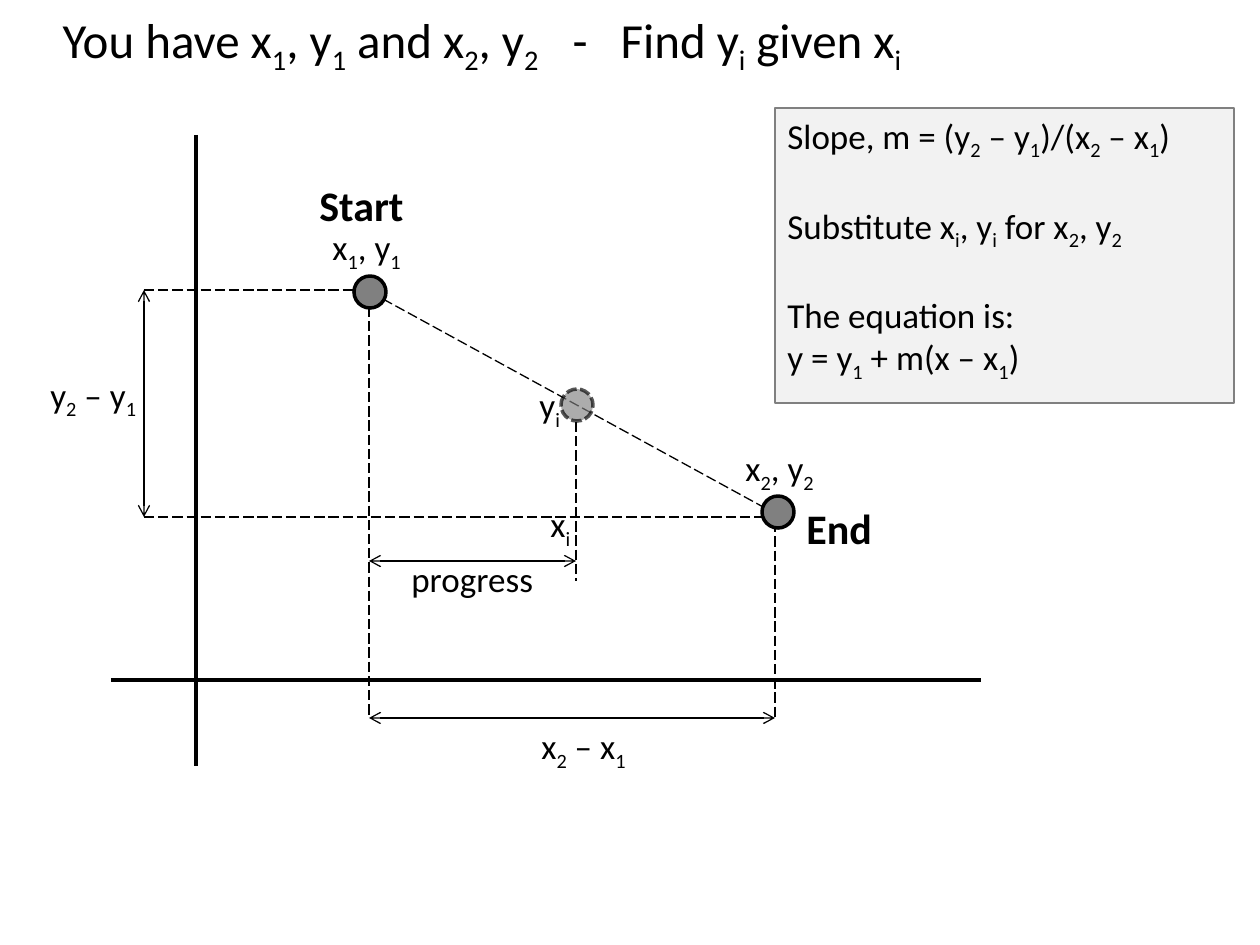
from dataclasses import dataclass

from lxml.etree import SubElement
from pptx import Presentation
from pptx.dml.color import RGBColor
from pptx.enum.dml import MSO_LINE
from pptx.enum.shapes import MSO_CONNECTOR, MSO_SHAPE
from pptx.enum.text import MSO_ANCHOR, MSO_AUTO_SIZE, PP_ALIGN
from pptx.oxml.ns import qn
from pptx.util import Emu, Inches, Pt

SCALE = 914400 / 126


@dataclass(frozen=True)
class Theme:
    """Colours, font and type sizes."""
    font: str = "Calibri"
    ink: RGBColor = RGBColor(0, 0, 0)
    gray: RGBColor = RGBColor(0x80, 0x80, 0x80)
    pale: RGBColor = RGBColor(0xF2, 0xF2, 0xF2)
    title: int = 28
    name: int = 24
    body: int = 20


@dataclass(frozen=True)
class Line:
    """A straight line between two points."""
    x1: int
    y1: int
    x2: int
    y2: int
    style: str = "dash"


@dataclass(frozen=True)
class Dot:
    """A point marker, solid or estimated."""
    x: int
    y: int
    ghost: bool = False


@dataclass(frozen=True)
class Label:
    """Text that stands alone; an underscore lowers the next letter."""
    x: int
    y: int
    w: int
    h: int
    text: str
    name: bool = False


THEME = Theme()
LEFT, MID, RIGHT = 369, 576, 775
HIGH, LOW = 290, 517
GAP, SPAN, STEP = 144, 718, 561
SIZE = 32

LINES = [
    Line(196, 135, 196, 766, "axis"),
    Line(111, 680, 981, 680, "axis"),
    Line(383, 299, 765, 508),
    Line(RIGHT, 508, RIGHT, SPAN),
    Line(LEFT, 307, LEFT, SPAN),
    Line(MID, 422, MID, 581),
    Line(GAP, HIGH, 354, HIGH),
    Line(GAP, LOW, 765, LOW),
    Line(LEFT, SPAN, RIGHT, SPAN, "arrow"),
    Line(GAP, LOW, GAP, HIGH, "arrow"),
    Line(LEFT, STEP, MID, STEP, "arrow"),
]
DOTS = [Dot(354, 276), Dot(762, 496), Dot(561, 389, True)]
LABELS = [
    Label(320, 219, 97, 55, "x_1, y_1"),
    Label(733, 440, 97, 55, "x_2, y_2"),
    Label(527, 377, 47, 55, "y_i"),
    Label(538, 496, 47, 55, "x_i"),
    Label(529, 718, 113, 55, "x_2 – x_1"),
    Label(38, 367, 115, 55, "y_2 – y_1"),
    Label(399, 551, 149, 55, "progress"),
    Label(307, 173, 111, 63, "Start", True),
    Label(794, 496, 92, 63, "End", True),
]
NOTES = [
    ("Slope, m = (y_2 – y_1)/(x_2 – x_1)", 0),
    ("Substitute x_i, y_i for x_2, y_2", 24),
    ("The equation is:", 24),
    ("y = y_1 + m(x – x_1)", 0),
]


def px(*vals: int) -> list[Emu]:
    """Turn pixels into EMU."""
    return [Emu(round(v * SCALE)) for v in vals]


def write(para, text: str, size: int, bold: bool = False) -> None:
    """Fill a paragraph, lowering each letter after an underscore."""
    first, *rest = text.split("_")
    para.add_run().text = first
    for part in rest:
        low = para.add_run()
        low.text = part[0]
        low.font._element.set("baseline", "-25000")
        if part[1:]:
            para.add_run().text = part[1:]
    para.alignment = PP_ALIGN.LEFT
    font = para.font
    font.name, font.size, font.bold = THEME.font, Pt(size), bold
    font.color.rgb = THEME.ink


def fade(fill) -> None:
    """Make a solid fill partly transparent."""
    color = fill._xPr.find(qn("a:solidFill"))[0]
    SubElement(color, qn("a:alpha"), val="65000")


def draw_line(slide, item: Line) -> None:
    """Draw an axis, a dashed guide or a double arrow."""
    ends = px(item.x1, item.y1, item.x2, item.y2)
    shape = slide.shapes.add_connector(MSO_CONNECTOR.STRAIGHT, *ends)
    SubElement(shape._element.spPr, qn("a:effectLst"))
    line = shape.line
    line.color.rgb = THEME.ink
    line.width = Pt(2.25 if item.style == "axis" else 0.75)
    if item.style == "dash":
        line.dash_style = MSO_LINE.LONG_DASH
    if item.style == "arrow":
        for end in ("a:headEnd", "a:tailEnd"):
            SubElement(line._get_or_add_ln(), qn(end), type="arrow")


def draw_dot(slide, item: Dot) -> None:
    """Draw a point marker."""
    shape = slide.shapes.add_shape(MSO_SHAPE.OVAL, *px(item.x, item.y, SIZE, SIZE))
    shape.shadow.inherit = False
    shape.fill.solid()
    shape.fill.fore_color.rgb = THEME.gray
    shape.line.color.rgb = THEME.ink
    shape.line.width = Pt(2)
    if item.ghost:
        shape.line.dash_style = MSO_LINE.SQUARE_DOT
        fade(shape.fill)
        fade(shape.line.fill)


def draw_label(slide, item: Label) -> None:
    """Draw a label that does not wrap."""
    frame = slide.shapes.add_textbox(*px(item.x, item.y, item.w, item.h)).text_frame
    frame.word_wrap = False
    frame.auto_size = MSO_AUTO_SIZE.SHAPE_TO_FIT_TEXT
    size = THEME.name if item.name else THEME.body
    write(frame.paragraphs[0], item.text, size, item.name)


def draw_notes(slide) -> None:
    """Draw the panel with the equations."""
    shape = slide.shapes.add_shape(MSO_SHAPE.RECTANGLE, *px(775, 108, 459, 295))
    shape.shadow.inherit = False
    shape.fill.solid()
    shape.fill.fore_color.rgb = THEME.pale
    shape.line.color.rgb = THEME.gray
    shape.line.width = Pt(0.75)
    frame = shape.text_frame
    frame.word_wrap = True
    frame.vertical_anchor = MSO_ANCHOR.TOP
    for num, (text, gap) in enumerate(NOTES):
        para = frame.add_paragraph() if num else frame.paragraphs[0]
        write(para, text, THEME.body)
        para.space_before = Pt(gap)


def draw_title(slide) -> None:
    """Place the title, with tab stops around its dash."""
    title = slide.shapes.title
    title.left, title.top, title.width, title.height = px(50, 3, 1105, 72)
    frame = title.text_frame
    frame.word_wrap = True
    frame.auto_size = MSO_AUTO_SIZE.NONE
    frame.vertical_anchor = MSO_ANCHOR.TOP
    para = frame.paragraphs[0]
    props = para._p.get_or_add_pPr()
    tabs = SubElement(props, qn("a:tabLst"))
    for stop in px(510, 558):
        SubElement(tabs, qn("a:tab"), pos=str(stop), algn="l")
    write(para, "You have x_1, y_1 and x_2, y_2\t-\tFind y_i given x_i", THEME.title)


def main() -> None:
    """Build and save the slide."""
    deck = Presentation()
    deck.slide_width, deck.slide_height = Inches(10), Inches(7.5)
    slide = deck.slides.add_slide(deck.slide_layouts[5])
    draw_title(slide)
    for line in LINES:
        draw_line(slide, line)
    for dot in DOTS:
        draw_dot(slide, dot)
    draw_notes(slide)
    for label in LABELS:
        draw_label(slide, label)
    deck.save("out.pptx")


main()
